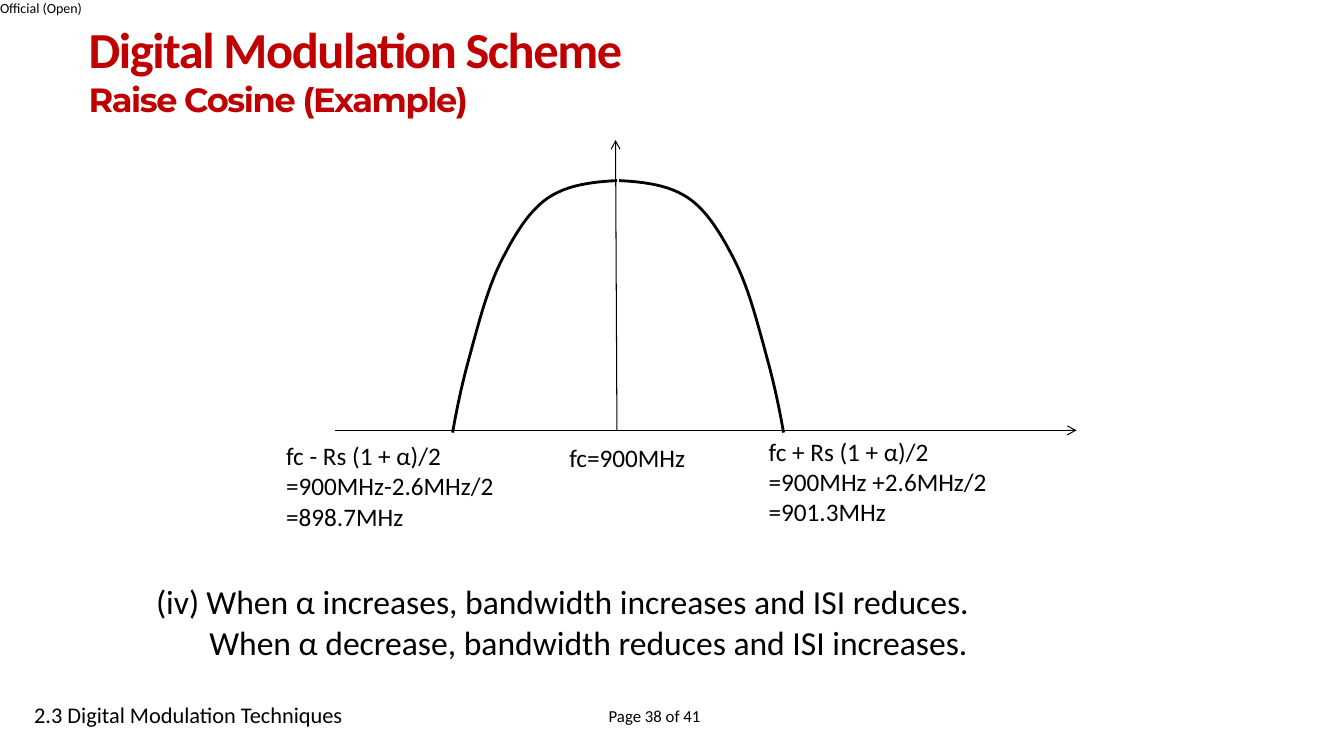
"""Build the raised cosine example slide."""
from lxml.etree import SubElement
from pptx import Presentation
from pptx.dml.color import RGBColor
from pptx.enum.shapes import MSO_CONNECTOR
from pptx.enum.text import MSO_ANCHOR, PP_ALIGN
from pptx.oxml.ns import qn
from pptx.util import Pt

THEME = {
    "ink": RGBColor(0, 0, 0), "red": RGBColor(0xC0, 0, 0),
    "body": "Calibri", "accent": "Montserrat",
    "title": 36, "sub": 24, "note": 24, "label": 18, "foot": 16, "page": 12, "mark": 10,
}
MARK = ["Official (Open)"]
TITLE = ["Digital Modulation Scheme", "Raise Cosine (Example)"]
NOTES = ["When α increases, bandwidth increases and ISI reduces.",
         "When α decrease, bandwidth reduces and ISI increases."]
LABELS = [
    ((542, 308, 260, 122), ["fc + Rs (1 + α)/2", "=900MHz +2.6MHz/2", "=901.3MHz"]),
    ((197.3, 311, 237, 87), ["fc - Rs (1 + α)/2", "=900MHz-2.6MHz/2", "=898.7MHz"]),
    ((399.6, 312.5, 142, 29), ["fc=900MHz"]),
]
FOOT = [
    ((17.3, 497.5, 256, 27), ["2.3 Digital Modulation Techniques"], "foot"),
    ((427.7, 500.4, 184, 29), ["Page 38 of 41"], "page"),
]
AXES = [(239, 307.4, 769, 307.4), (440.7, 307.4, 439.7, 100)]
ARM = [(0, 129), (18, 130), (35.5, 132), (49.5, 141.5), (63.5, 151), (74, 169),
       (83.5, 188), (93, 207), (100, 235), (105.5, 255), (111, 275), (114.5, 292), (117.5, 309)]
SIDES = [(442.2, 1), (440.8, -1)]
STEPS = 12


def write(slide, box, lines, size, color="ink"):
    frame = slide.shapes.add_textbox(*map(Pt, box)).text_frame
    frame.word_wrap = True
    frame.text = "\n".join(lines)
    for para in frame.paragraphs:
        style(para, size, color)
    return frame


def style(para, size, color="ink", face="body"):
    for run in para.runs:
        run.font.size = Pt(THEME[size])
        run.font.name = THEME[face]
        run.font.color.rgb = THEME[color]


def axis(slide, ends):
    line = slide.shapes.add_connector(MSO_CONNECTOR.STRAIGHT, *map(Pt, ends))
    line.line.color.rgb = THEME["ink"]
    line.line.width = Pt(0.75)
    SubElement(line.line._get_or_add_ln(), qn("a:tailEnd"), type="arrow")
    SubElement(line._element.spPr, qn("a:effectLst"))


def bend(knots):
    dots = [knots[0]]
    for i in range(0, len(knots) - 1, 3):
        a, b, c, d = knots[i:i + 4]
        for step in range(1, STEPS + 1):
            t = step / STEPS
            u = 1 - t
            dots.append(tuple(u**3 * p + 3 * u * u * t * q + 3 * u * t * t * r + t**3 * s
                              for p, q, r, s in zip(a, b, c, d)))
    return dots


def arm(slide, mid, sign):
    dots = [(Pt(mid + sign * x), Pt(y)) for x, y in bend(ARM)]
    pen = slide.shapes.build_freeform(*dots[0])
    pen.add_line_segments(dots[1:], close=False)
    curve = pen.convert_to_shape()
    curve.shadow.inherit = False
    curve.fill.background()
    curve.line.color.rgb = THEME["ink"]
    curve.line.width = Pt(2)


def head(slide):
    frame = write(slide, (56.2, 10, 760, 78), TITLE, "title", "red")
    frame.vertical_anchor = MSO_ANCHOR.MIDDLE
    style(frame.paragraphs[1], "sub", "red", "accent")
    for para in frame.paragraphs:
        for run in para.runs:
            run.font.bold = True
            run.font._element.set("spc", "-100")


def notes(slide):
    frame = write(slide, (104.4, 411.5, 726, 65), NOTES, "note")
    first, last = frame.paragraphs
    first.alignment = PP_ALIGN.JUSTIFY
    for para, left, hang in ((first, 36, -36), (last, 38, 0)):
        props = para._p.get_or_add_pPr()
        props.set("marL", str(Pt(left)))
        props.set("indent", str(Pt(hang)))
    SubElement(first._p.pPr, qn("a:buAutoNum"), type="romanLcParenBoth", startAt="4")


def main():
    deck = Presentation()
    deck.slide_width, deck.slide_height = Pt(960), Pt(540)
    slide = deck.slides.add_slide(deck.slide_layouts[6])
    mark = write(slide, (0, 0, 90, 12), MARK, "mark")
    mark.margin_left = mark.margin_top = mark.margin_right = mark.margin_bottom = 0
    for ends in AXES:
        axis(slide, ends)
    for mid, sign in SIDES:
        arm(slide, mid, sign)
    for box, lines in LABELS:
        write(slide, box, lines, "label")
    notes(slide)
    head(slide)
    for box, lines, size in FOOT:
        write(slide, box, lines, size)
    deck.save("out.pptx")


if __name__ == "__main__":
    main()
